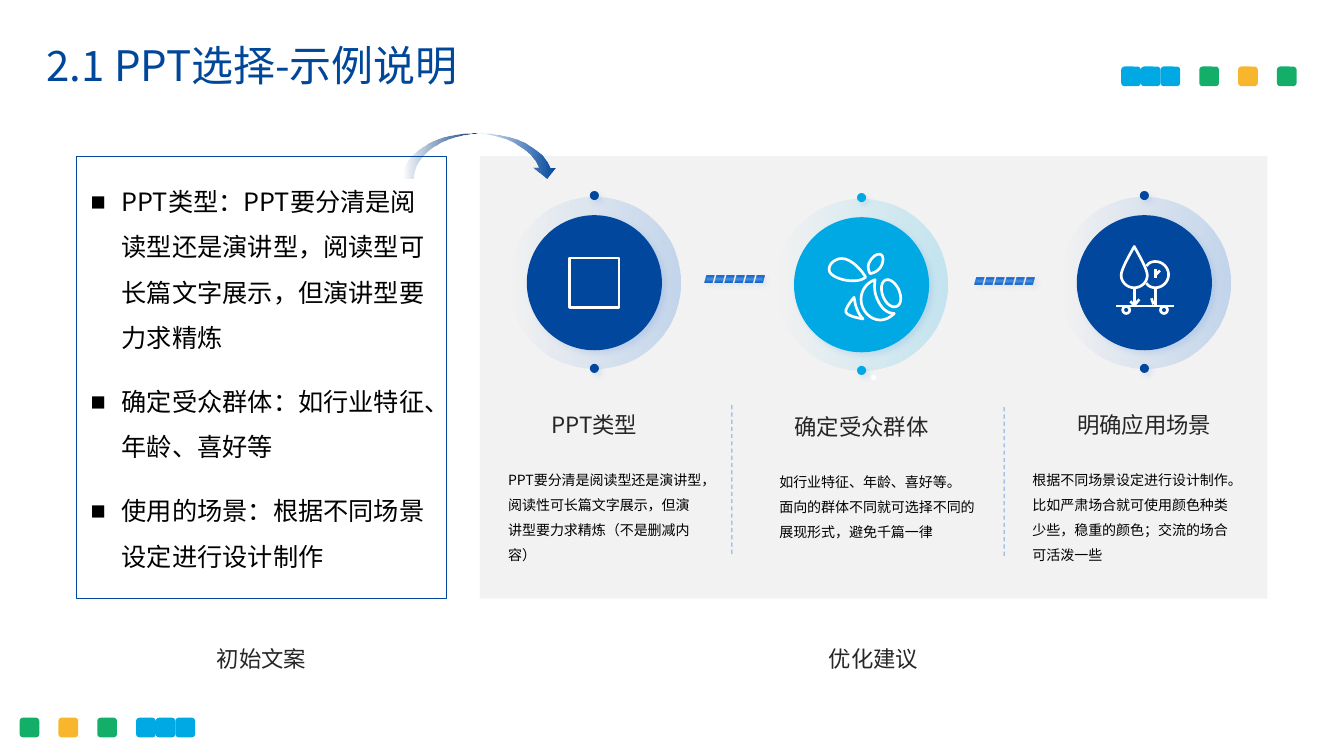
from dataclasses import dataclass

from lxml import etree
from pptx import Presentation
from pptx.dml.color import RGBColor
from pptx.enum.dml import MSO_LINE
from pptx.enum.shapes import MSO_CONNECTOR, MSO_SHAPE
from pptx.enum.text import MSO_ANCHOR, MSO_AUTO_SIZE, PP_ALIGN
from pptx.oxml.ns import qn
from pptx.util import Emu, Inches, Pt

RECT, ROUND, OVAL = MSO_SHAPE.RECTANGLE, MSO_SHAPE.ROUNDED_RECTANGLE, MSO_SHAPE.OVAL
ARROW = MSO_SHAPE.CURVED_DOWN_ARROW
LEFT, CENTER = PP_ALIGN.LEFT, PP_ALIGN.CENTER
TOP, MIDDLE = MSO_ANCHOR.TOP, MSO_ANCHOR.MIDDLE
FONT = "Noto Sans CJK SC"
CELL = Inches(0.1)  # one column or row of the grid
COLORS = {"navy": "00479D", "title": "004799", "blue": "005ED0", "sky": "00A9E4",
          "green": "13AE67", "amber": "F8B62D", "panel": "F2F2F2",
          "white": "FFFFFF", "black": "000000", "grey": "262626"}


@dataclass
class Box:
    col: float
    row: float
    cols: float
    rows: float

    def emu(self) -> list[Emu]:
        return [cells(n) for n in (self.col, self.row, self.cols, self.rows)]


@dataclass
class Style:
    size: float
    color: str
    spacing: float
    align: PP_ALIGN = LEFT
    bullet: bool = False
    gap: float = 0


@dataclass
class Step:
    col: float
    row: float
    color: str
    ring: str
    heading: str
    body_col: float
    body_cols: float
    body: list[str]


@dataclass
class Stroke:
    """Points in cells; a curved stroke holds a start and Bezier triples."""
    points: list[tuple[float, float]]
    curved: bool = True
    closed: bool = True


HEADING = Style(16, "grey", 1.2, CENTER)
CAPTION = Style(16, "grey", 1.5, CENTER)
BODY = Style(10, "black", 1.5)
DRAFT = Style(18, "black", 1.5, bullet=True, gap=13.2)
STEPS = [
    Step(58.95, 28.05, "navy", "blue", "PPT类型", 50.4, 19.2,
         ["PPT要分清是阅读型还是演讲型，阅读性可长篇文字展示，但演讲型要力求精炼（不是删减内容）"]),
    Step(85.45, 28.25, "sky", "sky", "确定受众群体", 77.3, 19.4,
         ["如行业特征、年龄、喜好等。", "面向的群体不同就可选择不同的展现形式，避免千篇一律"]),
    Step(113.5, 28.05, "navy", "blue", "明确应用场景", 102.4, 19.9,
         ["根据不同场景设定进行设计制作。",
          "比如严肃场合就可使用颜色种类少些，稳重的颜色；交流的场合可活泼一些"]),
]
DRAFT_LINES = ["PPT类型：PPT要分清是阅读型还是演讲型，阅读型可长篇文字展示，但演讲型要力求精炼",
               "确定受众群体：如行业特征、年龄、喜好等", "使用的场景：根据不同场景设定进行设计制作"]
BEE = [
    Stroke([(3.75, 2.4), (3.4, 2.7), (2.9, 2.8), (2.2, 2.75), (1.3, 2.7), (0.4, 2.3), (0.2, 1.9),
            (-0.1, 1.3), (0.6, 0.55), (1.4, 0.55), (2.4, 0.55), (3.5, 1.9), (3.75, 2.4)]),
    Stroke([(4.2, 2.05), (4, 1.7), (3.9, 1.2), (4.2, 0.8), (4.4, 0.4), (4.9, 0), (5.25, 0.15),
            (5.6, 0.3), (5.5, 1), (5.25, 1.4), (4.9, 1.9), (4.4, 2), (4.2, 2.05)]),
    Stroke([(5.7, 2.7), (6.1, 2.5), (6.7, 2.9), (7.05, 3.65), (7.35, 4.4), (7.3, 5.1), (6.85, 5.3),
            (6.4, 5.5), (5.8, 5.1), (5.5, 4.35), (5.2, 3.6), (5.3, 2.9), (5.7, 2.7)]),
    Stroke([(4.7, 2.65), (3.9, 2.9), (3.3, 3.7), (3.3, 4.6), (3.3, 5.7), (4.2, 6.65), (5.2, 6.65),
            (5.7, 6.65), (6.2, 6.4), (6.6, 6), (5.9, 6), (5.3, 5.5), (4.9, 4.55),
            (4.6, 3.9), (4.6, 3.2), (4.7, 2.65)]),
    Stroke([(2.6, 4.4), (2.2, 4.9), (1.7, 5.6), (1.8, 5.85), (1.9, 6.2), (2.7, 6.4), (3.5, 6.55),
            (3.2, 6.2), (3, 5.9), (2.9, 5.55), (2.7, 5.2), (2.7, 4.7), (2.6, 4.4)]),
]
TREES = [
    Stroke([(1.9, 0.15), (1.5, 0.9), (0.6, 2.4), (0.6, 3), (0.6, 3.7), (1.2, 4.25), (1.9, 4.25),
            (2.6, 4.25), (3.2, 3.7), (3.2, 3), (3.2, 2.4), (2.3, 0.9), (1.9, 0.15)]),
    Stroke([(3.1, 2.1), (3.3, 1.8), (3.6, 1.65), (4, 1.65), (4.7, 1.65), (5.3, 2.25), (5.3, 2.95),
            (5.3, 3.65), (4.7, 4.25), (4, 4.25), (3.6, 4.25), (3.3, 4.1), (3.1, 3.8)], closed=False),
    *[Stroke(points, curved=False, closed=False) for points in (
        [(1.9, 4.3), (1.9, 6)], [(4, 4.3), (4, 6)], [(0.1, 6.05), (5.8, 6.05)],
        [(2.4, 5.4), (1.9, 6), (1.5, 5.6)], [(3.6, 5.3), (3.8, 5.9)],
        [(4, 2.4), (4, 3.3)], [(4.45, 2.55), (4, 3)])],
]


def cells(count: float) -> Emu:
    return Emu(round(count * CELL))


def rgb(name: str) -> RGBColor:
    return RGBColor.from_string(COLORS[name])


def set_alpha(color_node, percent: float) -> None:
    etree.SubElement(color_node, qn("a:alpha")).set("val", str(percent * 1000))


def finish(shape, fill: str | None = None, line: str | None = None, width: float = 1):
    """Give a shape its fill and line, each empty unless named."""
    shape.shadow.inherit = False
    if fill:
        shape.fill.solid()
        shape.fill.fore_color.rgb = rgb(fill)
    else:
        shape.fill.background()
    if line:
        shape.line.color.rgb = rgb(line)
        shape.line.width = Pt(width)
    else:
        shape.line.fill.background()
    return shape


def add_shape(page, kind, box: Box, fill=None, line=None, width=1):
    return finish(page.shapes.add_shape(kind, *box.emu()), fill, line, width)


def fade(shape, color: str, alphas: tuple[float, float], angle: float | None = None) -> None:
    """Fill with one colour of changing opacity, from the centre if no angle."""
    shape.fill.gradient()
    for stop, alpha in zip(shape.fill.gradient_stops, alphas):
        stop.color.rgb = rgb(color)
    gradient = shape._element.spPr.find(qn("a:gradFill"))
    for node, alpha in zip(gradient.iter(qn("a:srgbClr")), alphas):
        set_alpha(node, alpha)
    if angle is not None:
        shape.fill.gradient_angle = angle
        return
    gradient.remove(gradient.find(qn("a:lin")))
    centre = etree.SubElement(gradient, qn("a:path"), path="shape")
    etree.SubElement(centre, qn("a:fillToRect"), l="50000", t="50000", r="50000", b="50000")


def add_shadow(shape) -> None:
    effects = shape._element.spPr.find(qn("a:effectLst"))
    outer = etree.SubElement(effects, qn("a:outerShdw"), blurRad=str(Pt(4)), dist=str(Pt(3)),
                             dir="2700000", algn="tl", rotWithShape="0")
    set_alpha(etree.SubElement(outer, qn("a:srgbClr"), val=COLORS["blue"]), 10)


def write(frame, lines: list[str], style: Style, anchor=TOP, inset: bool = True) -> None:
    frame.word_wrap = True
    frame.auto_size = MSO_AUTO_SIZE.NONE
    frame.vertical_anchor = anchor
    if not inset:
        frame.margin_left = frame.margin_right = frame.margin_top = frame.margin_bottom = 0
    for index, line in enumerate(lines):
        para = frame.add_paragraph() if index else frame.paragraphs[0]
        if style.bullet:
            props = para._p.get_or_add_pPr()
            props.set("marL", str(Inches(0.31)))
            props.set("indent", str(-Inches(0.31)))
            etree.SubElement(props, qn("a:buFont"), typeface="Arial")
            etree.SubElement(props, qn("a:buChar"), char="■")
        para.alignment = style.align
        para.line_spacing = style.spacing
        if index and style.gap:
            para.space_before = Pt(style.gap)
        span = para.add_run()
        span.text = line
        span.font.size = Pt(style.size)
        span.font.color.rgb = rgb(style.color)
        span.font.name = FONT
        etree.SubElement(span._r.get_or_add_rPr(), qn("a:ea"), typeface=FONT)


def add_text(page, box: Box, lines: list[str], style: Style, inset: bool = True) -> None:
    write(page.shapes.add_textbox(*box.emu()).text_frame, lines, style, inset=inset)


def flatten(points: list[tuple[float, float]], parts: int = 8) -> list[tuple[float, float]]:
    """Turn a chain of cubic Bezier curves into short straight pieces."""
    result = [points[0]]
    for i in range(0, len(points) - 1, 3):
        for t in (n / parts for n in range(1, parts + 1)):
            weights = ((1 - t) ** 3, 3 * t * (1 - t) ** 2, 3 * t * t * (1 - t), t ** 3)
            result.append(tuple(sum(w * p[axis] for w, p in zip(weights, points[i:i + 4]))
                                for axis in (0, 1)))
    return result


def add_icon(page, col: float, row: float, strokes: list[Stroke]) -> None:
    for stroke in strokes:
        points = flatten(stroke.points) if stroke.curved else stroke.points
        spots = [(cells(col + x), cells(row + y)) for x, y in points]
        builder = page.shapes.build_freeform(*spots[0])
        builder.add_line_segments(spots[1:], close=stroke.closed)
        finish(builder.convert_to_shape(), line="white", width=1.9)


def add_dashes(page, col: float, row: float) -> None:
    builder = None
    for left in (col + 0.98 * n for n in range(6)):
        spots = [(cells(left + x), cells(row + y)) for x, y in ((0.2, 0), (1, 0), (0.8, 0.7), (0, 0.7))]
        if builder is None:
            builder = page.shapes.build_freeform(*spots[0])
        else:
            builder.move_to(*spots[0])
        builder.add_line_segments(spots[1:], close=True)
    dashes = finish(builder.convert_to_shape())
    fade(dashes, "blue", (65, 100))
    add_shadow(dashes)


def add_divider(page, col: float, row: float) -> None:
    x = cells(col)
    divider = page.shapes.add_connector(MSO_CONNECTOR.STRAIGHT, x, cells(row), x, cells(row + 15))
    divider.line.color.rgb = rgb("blue")
    divider.line.width = Pt(0.75)
    divider.line.dash_style = MSO_LINE.DASH
    props = divider._element.spPr
    set_alpha(next(props.iter(qn("a:srgbClr"))), 50)
    etree.SubElement(props, qn("a:effectLst"))


def add_step(page, step: Step) -> None:
    def disc(row: float, size: float):
        return add_shape(page, OVAL, Box(step.col - size / 2, row - size / 2, size, size), step.color)

    fade(disc(step.row, 17.1), step.ring, (20, 0), 180)
    for offset, size in ((0, 13.4), (-8.65, 0.9), (8.5, 0.9)):
        add_shadow(disc(step.row + offset, size))
    add_text(page, Box(step.col - 8.05, step.row + 12.2, 16.1, 3), [step.heading], HEADING, False)
    add_text(page, Box(step.body_col, step.row + 17.85, step.body_cols, 9.8), step.body, BODY, False)


def main() -> None:
    deck = Presentation()
    deck.slide_width, deck.slide_height = Inches(13.33), Inches(7.5)
    page = deck.slides.add_slide(deck.slide_layouts[5])
    title = page.shapes.title
    title.left, title.top, title.width, title.height = Box(3.6, 3.8, 99.3, 5.8).emu()
    write(title.text_frame, ["2.1 PPT选择-示例说明"], Style(30, "title", 0.9), MIDDLE)

    squares = [(0, "sky"), (1.95, "sky"), (3.9, "sky"), (7.75, "green"), (11.6, "amber"), (15.45, "green")]
    for offset, color in squares:
        for col, row in ((111.2 + offset, 6.6), (17.4 - offset, 71.2)):
            add_shape(page, ROUND, Box(col, row, 1.95, 1.95), color)

    panel = add_shape(page, RECT, Box(47.6, 15.5, 78.1, 43.9), "panel")
    write(panel.text_frame, ["·"], Style(18, "white", 1, CENTER), MIDDLE)
    for step in STEPS:
        add_step(page, step)
    for col, row in ((72.6, 40.2), (99.6, 40.4)):
        add_divider(page, col, row)
    for col, row in ((69.9, 27.3), (96.7, 27.5)):
        add_dashes(page, col, row)

    add_shape(page, RECT, Box(56.5, 25.6, 4.9, 4.9), line="white", width=1.9)
    add_icon(page, 82.1, 25.1, BEE)
    add_icon(page, 110.6, 24.3, TREES)
    for col in (111.35, 115.1):
        add_shape(page, OVAL, Box(col, 30.4, 0.7, 0.7), line="white", width=1.9)

    add_text(page, Box(8, 16.5, 35.6, 40.6), DRAFT_LINES, DRAFT)
    fade(add_shape(page, ARROW, Box(39.9, 13.2, 15.4, 4.5)), "navy", (0, 100), 0)
    for col, caption in ((14.7, "初始文案"), (75.4, "优化建议")):
        add_text(page, Box(col, 62.2, 22.5, 4.6), [caption], CAPTION)
    add_shape(page, RECT, Box(7.6, 15.5, 36.7, 43.9), line="navy")
    deck.save("out.pptx")


if __name__ == "__main__":
    main()
